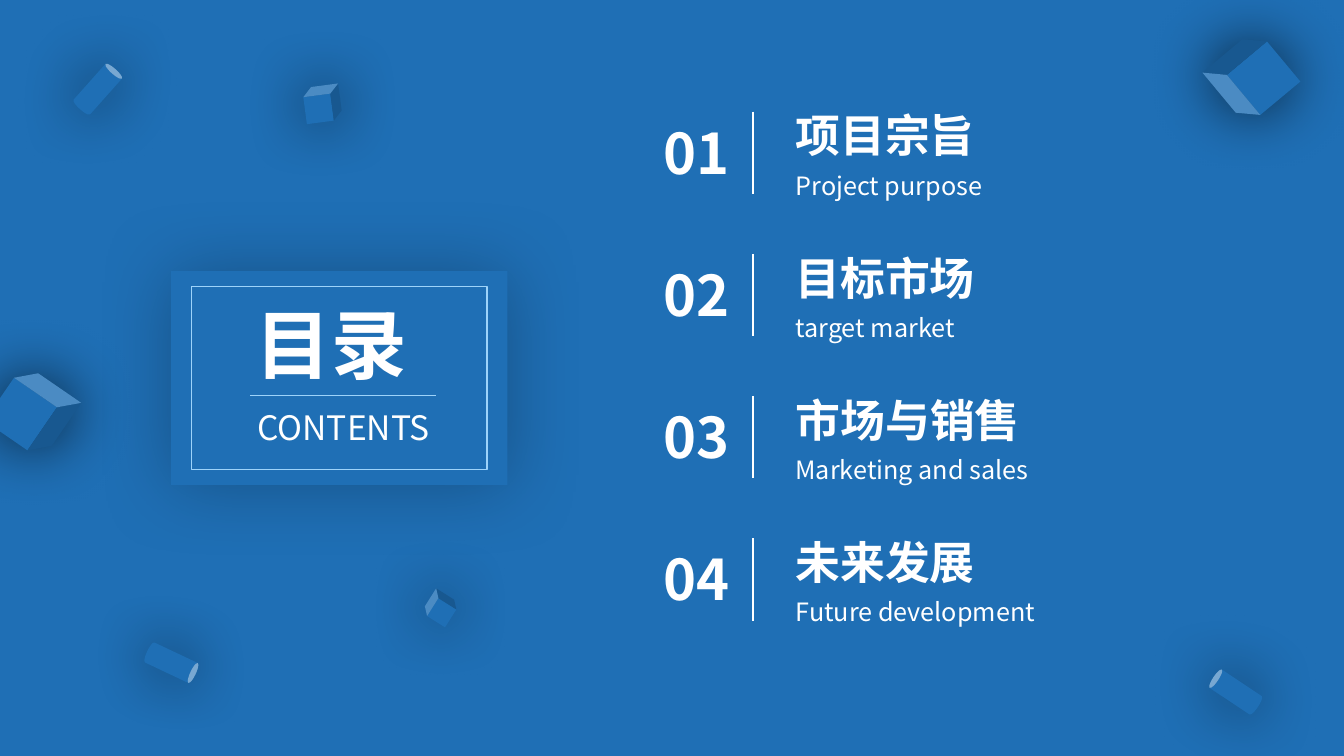
from lxml import etree
from pptx import Presentation
from pptx.dml.color import RGBColor
from pptx.enum.shapes import MSO_CONNECTOR, MSO_SHAPE
from pptx.enum.text import MSO_AUTO_SIZE, PP_ALIGN
from pptx.oxml.ns import qn
from pptx.util import Pt

RECT, CAN, CUBE = MSO_SHAPE.RECTANGLE, MSO_SHAPE.CAN, MSO_SHAPE.CUBE
STRAIGHT = MSO_CONNECTOR.STRAIGHT
GROW = MSO_AUTO_SIZE.SHAPE_TO_FIT_TEXT
LEFT, CENTER, JUSTIFY = PP_ALIGN.LEFT, PP_ALIGN.CENTER, PP_ALIGN.JUSTIFY

FONT = "Noto Sans CJK SC"
COLORS = {"blue": "1F6FB5", "pale": "9DD3FA", "white": "FFFFFF", "shadow": "000000"}

SECTIONS = [
    ("项目宗旨", 144, "Project purpose", 151),
    ("目标市场", 144, "target market", 132),
    ("市场与销售", 176, "Marketing and sales", 188),
    ("未来发展", 144, "Future development", 190),
]
CAN_SIZE = (15.8, 38.2)
BLOCKS_BACK = [
    (CAN, 114.5, 454.3, *CAN_SIZE, 115.3),
    (CAN, 61.9, 44.6, *CAN_SIZE, 41.7),
    (CUBE, 217.4, 61.2, 25.9, 25.9, 352.5),
    (CUBE, -1.4, 269.3, 49.7, 49.7, 34.5),
    (CUBE, 304.6, 424.1, 20.2, 20.2, 302.2),
]
BLOCKS_FRONT = [
    (CUBE, 869, 30.2, 49.7, 49.7, 230.2),
    (CAN, 874.8, 475.2, *CAN_SIZE, 303.7),
]
LIST_TOP, PITCH = 66, 101.5
NUMBER_X, DIVIDER_X, TEXT_X = 466.9, 537.8, 561.2


def rgb(name):
    return RGBColor.from_string(COLORS[name])


def add_text(shapes, text, x, y, w, h, size, bold=False, align=LEFT, spacing=None, wrap=True):
    tf = shapes.add_textbox(Pt(x), Pt(y), Pt(w), Pt(h)).text_frame
    tf.word_wrap = wrap
    tf.auto_size = GROW
    p = tf.paragraphs[0]
    p.alignment = align
    if spacing:
        p.line_spacing = spacing
    r = p.add_run()
    r.text = text
    r.font.size = Pt(size)
    r.font.bold = bold
    r.font.color.rgb = rgb("white")
    r.font.name = FONT
    etree.SubElement(r.font._element, qn("a:ea"), typeface=FONT)


def add_line(shapes, x1, y1, x2, y2, color, width):
    s = shapes.add_connector(STRAIGHT, Pt(x1), Pt(y1), Pt(x2), Pt(y2))
    s.line.color.rgb = rgb(color)
    s.line.width = Pt(width)
    etree.SubElement(s._element.spPr, qn("a:effectLst"))


def add_block(shapes, kind, x, y, w, h, rotation=0, blur=44, alpha=65):
    s = shapes.add_shape(kind, Pt(x), Pt(y), Pt(w), Pt(h))
    s.rotation = rotation
    s.fill.solid()
    s.fill.fore_color.rgb = rgb("blue")
    s.line.fill.background()
    s.shadow.inherit = False
    effects = s._element.spPr.find(qn("a:effectLst"))
    shadow = etree.SubElement(effects, qn("a:outerShdw"), blurRad=str(int(Pt(blur))),
                              dist="0", dir="0", algn="ctr", rotWithShape="0")
    color = etree.SubElement(shadow, qn("a:srgbClr"), val=COLORS["shadow"])
    etree.SubElement(color, qn("a:alpha"), val=str(alpha * 1000))


def add_frame(shapes, x, y, w, h):
    s = shapes.add_shape(RECT, Pt(x), Pt(y), Pt(w), Pt(h))
    s.fill.background()
    s.line.color.rgb = rgb("pale")
    s.line.width = Pt(1)
    s.shadow.inherit = False


def add_section(slide, index, title, title_w, subtitle, subtitle_w):
    y = LIST_TOP + index * PITCH
    shapes = slide.shapes.add_group_shape().shapes
    add_text(shapes, title, TEXT_X, y, title_w, 54, 32, bold=True, spacing=1.2, wrap=False)
    add_text(shapes, subtitle, TEXT_X, y + 47.5, subtitle_w, 33.1, 18, spacing=1.2, wrap=False)
    add_text(shapes, f"{index + 1:02d}", NUMBER_X, y + 15.1, 76.3, 55.4, 40, bold=True)
    add_line(shapes, DIVIDER_X, y + 13.8, DIVIDER_X, y + 72.8, "white", 1.5)


def main():
    prs = Presentation()
    prs.slide_width, prs.slide_height = Pt(960), Pt(540)
    slide = prs.slides.add_slide(prs.slide_layouts[6])
    slide.background.fill.solid()
    slide.background.fill.fore_color.rgb = rgb("blue")
    shapes = slide.shapes

    add_block(shapes, RECT, 122.2, 193.7, 240.2, 152.6, blur=55, alpha=25)
    add_frame(shapes, 136.8, 204.8, 211.2, 130.7)
    add_text(shapes, "目录", 175.7, 209.5, 139, 72.7, 54, bold=True, align=JUSTIFY)
    add_line(shapes, 178.6, 282.2, 311.6, 282.2, "pale", 0.5)
    add_text(shapes, "CONTENTS", 175.9, 287.3, 139, 36, 24, align=CENTER)

    for block in BLOCKS_BACK:
        add_block(shapes, *block)
    for index, section in enumerate(SECTIONS):
        add_section(slide, index, *section)
    for block in BLOCKS_FRONT:
        add_block(shapes, *block)

    prs.save("out.pptx")


if __name__ == "__main__":
    main()
